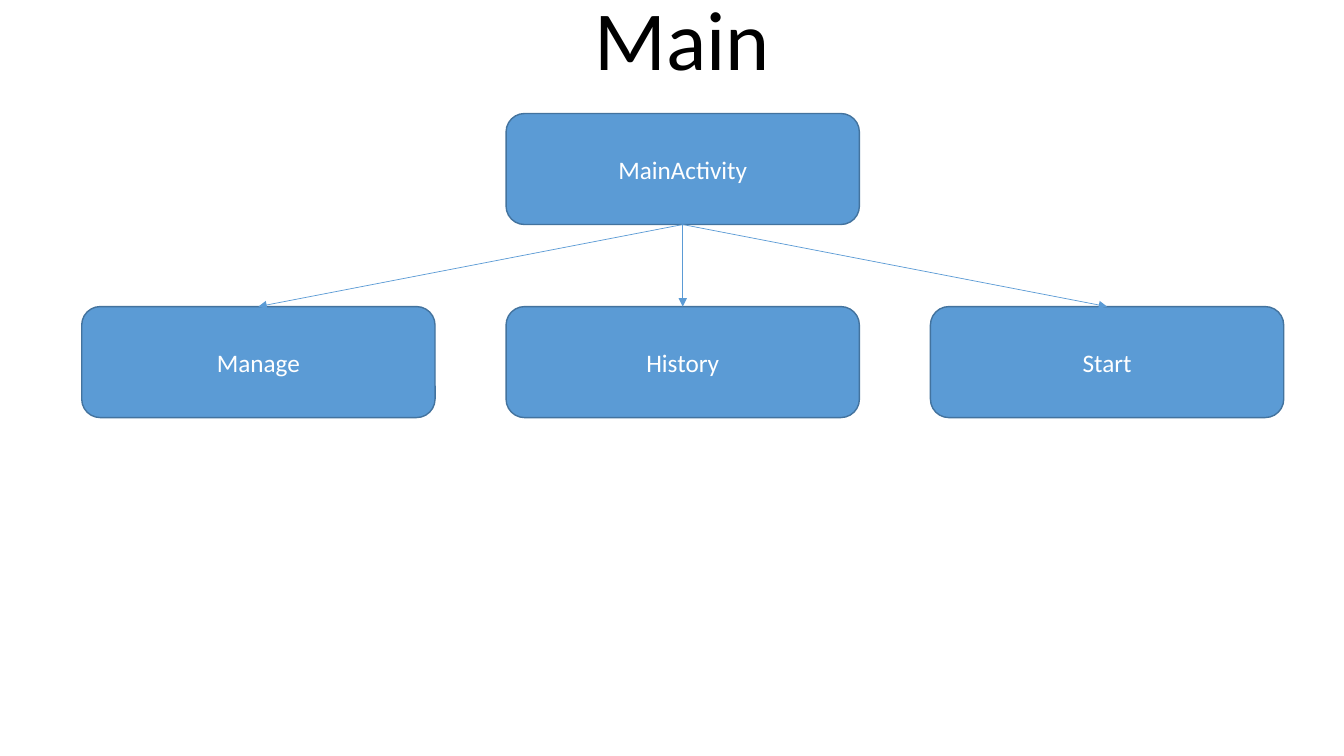
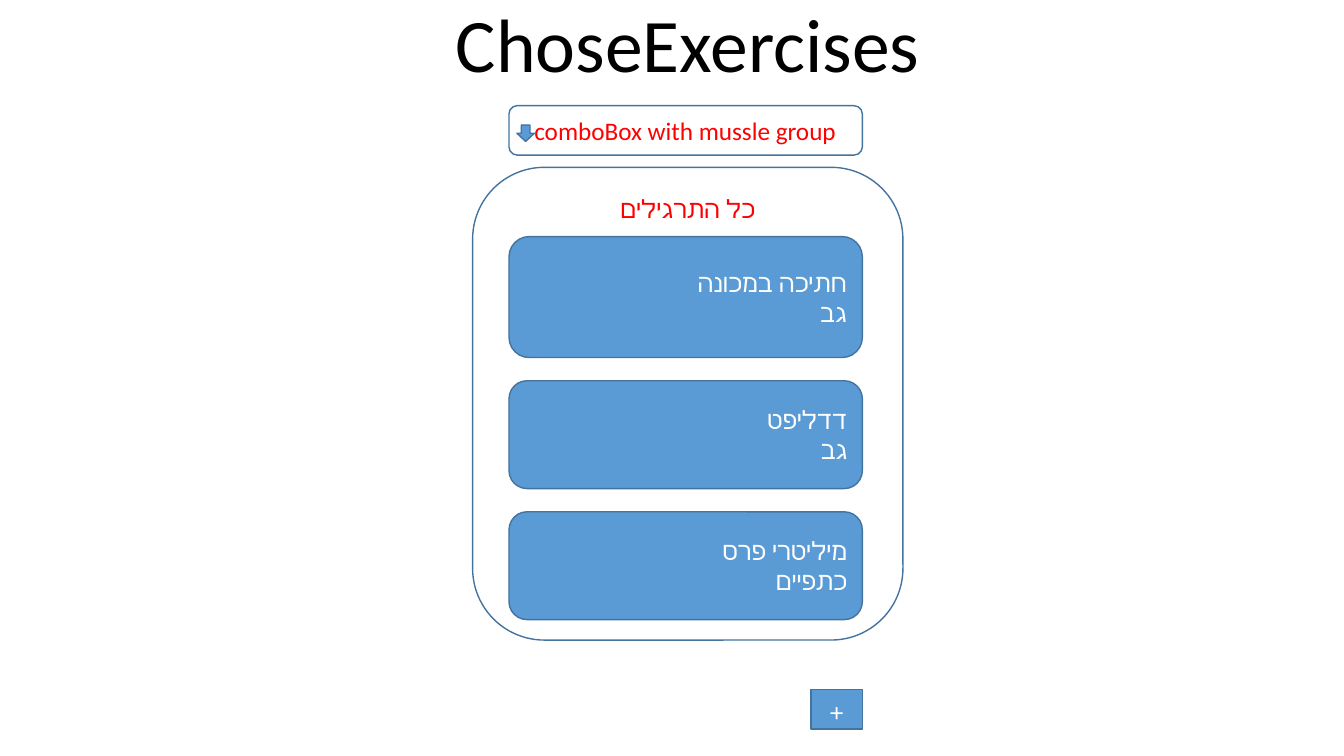
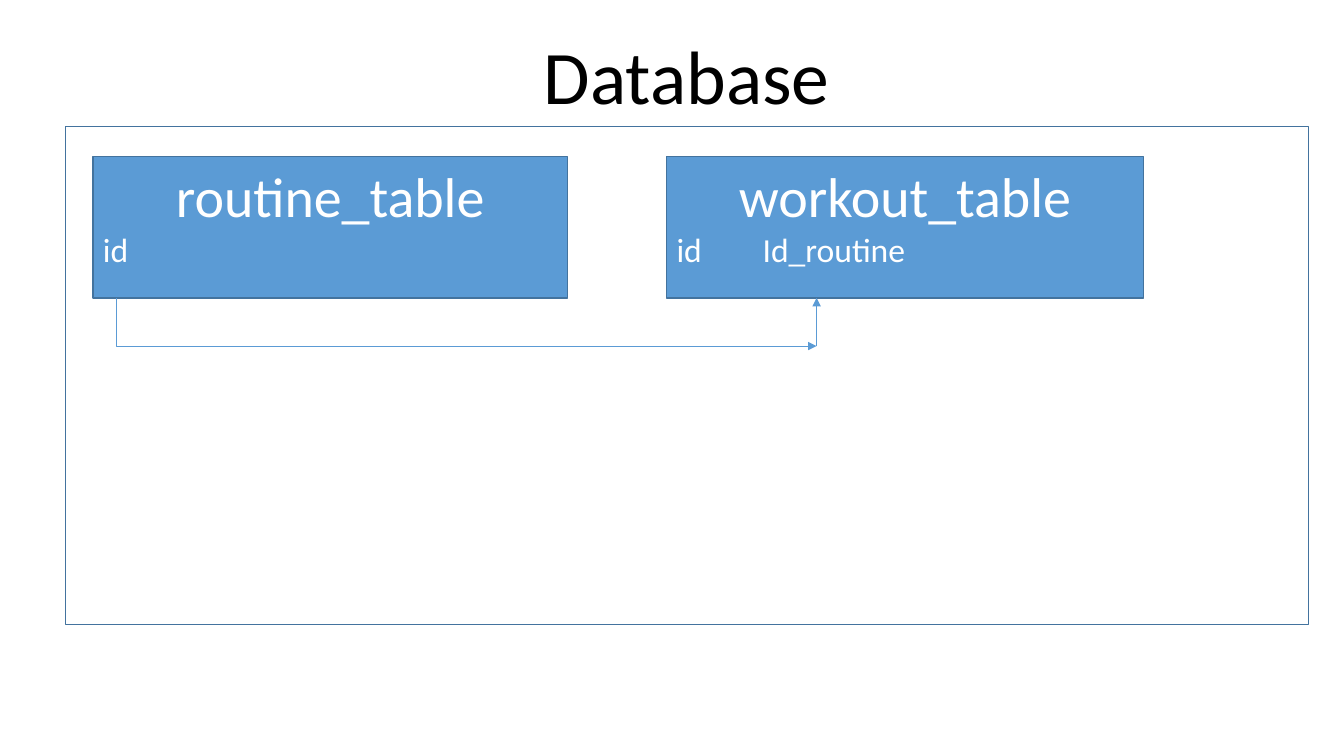
from lxml.etree import SubElement
from pptx import Presentation
from pptx.dml.color import RGBColor
from pptx.enum.shapes import MSO_CONNECTOR, MSO_SHAPE
from pptx.enum.text import MSO_ANCHOR, PP_ALIGN
from pptx.oxml.ns import qn
from pptx.util import Pt

COLORS = {
    "black": "000000",
    "white": "FFFFFF",
    "blue": "5B9BD5",
    "outline": "43739E",
    "red": "FF0000",
}
FONT = "Calibri"


def color(name):
    return RGBColor.from_string(COLORS[name])


def apply_format(target, values):
    for name, value in values.items():
        setattr(target, name, value)


def write_line(paragraph, text, size=18, ink="white", align=PP_ALIGN.CENTER,
               rtl=False, tab=None, spacing=None):
    properties = paragraph._p.get_or_add_pPr()
    if rtl:
        properties.set("rtl", "1")
    apply_format(paragraph, {"alignment": align, "line_spacing": spacing})
    if tab:
        tabs = SubElement(properties, qn("a:tabLst"))
        SubElement(tabs, qn("a:tab"), pos=str(Pt(tab)), algn="l")
    run = paragraph.add_run()
    run.text = text
    apply_format(run.font, {"name": FONT, "size": Pt(size)})
    run.font.color.rgb = color(ink)


def fill_frame(shape, lines, **frame_format):
    frame = shape.text_frame
    apply_format(frame, {"word_wrap": True, **frame_format})
    for index, line in enumerate(lines):
        paragraph = frame.add_paragraph() if index else frame.paragraphs[0]
        write_line(paragraph, **line)


def add_title(slide, text, left, top, width, size=54):
    shape = slide.shapes.add_textbox(Pt(left), Pt(top), Pt(width), Pt(67))
    line = {"text": text, "size": size, "ink": "black", "spacing": 0.9}
    fill_frame(shape, [line], vertical_anchor=MSO_ANCHOR.BOTTOM)


def add_box(slide, kind, left, top, width, height, lines=(), fill="blue",
            anchor=MSO_ANCHOR.MIDDLE, **frame_format):
    shape = slide.shapes.add_shape(kind, Pt(left), Pt(top), Pt(width), Pt(height))
    shape.shadow.inherit = False
    if fill:
        shape.fill.solid()
        shape.fill.fore_color.rgb = color(fill)
    else:
        shape.fill.background()
    shape.line.color.rgb = color("outline")
    shape.line.width = Pt(1)
    fill_frame(shape, lines, vertical_anchor=anchor, **frame_format)
    return shape


def add_arrow(slide, start=(0, 0), end=(0, 0), kind=MSO_CONNECTOR.STRAIGHT):
    points = [Pt(value) for value in (*start, *end)]
    connector = slide.shapes.add_connector(kind, *points)
    connector.line.color.rgb = color("blue")
    connector.line.width = Pt(0.5)
    SubElement(connector.line._get_or_add_ln(), qn("a:tailEnd"), type="triangle")
    properties = connector._element.spPr
    SubElement(properties, qn("a:effectLst"))
    if kind == MSO_CONNECTOR.ELBOW:
        guides = properties.find(qn("a:prstGeom")).get_or_add_avLst()
        SubElement(guides, qn("a:gd"), name="adj1", fmla="val 0")
    return connector


def build_main_screen(slide):
    add_title(slide, "Main", 127.5, 0, 720, size=60)
    left, step, width, height = 58.4, 303.1, 252.4, 79.3

    def add_node(text, column, top):
        return add_box(slide, MSO_SHAPE.ROUNDED_RECTANGLE, left + column * step,
                       top, width, height, [{"text": text, "rtl": True}])

    activity = add_node("MainActivity", 1, 81.1)
    for column, text in enumerate(("Manage", "History", "Start")):
        screen = add_node(text, column, 219)
        arrow = add_arrow(slide)
        arrow.begin_connect(activity, 2)
        arrow.end_connect(screen, 0)


def build_exercise_screen(slide):
    rounded = MSO_SHAPE.ROUNDED_RECTANGLE
    left, width, gap = 363.6, 252.4, 16.6
    add_title(slide, "ChoseExercises", 308, 0, 366.5)
    add_box(slide, rounded, left, 75.5, width, 35.3,
            [{"text": "comboBox with mussle group", "ink": "red",
              "align": PP_ALIGN.RIGHT}], fill="white", margin_right=Pt(17))

    top = 169
    exercises = (
        ("חתיכה במכונה", "גב", 86.4),
        ("דדליפט", "גב", 77),
        ("מיליטרי פרס", "כתפיים", 77),
    )
    for name, muscle, height in exercises:
        lines = [{"text": text, "align": PP_ALIGN.RIGHT, "rtl": True}
                 for text in (name, muscle)]
        add_box(slide, rounded, left, top, width, height, lines)
        top += height + gap

    add_box(slide, MSO_SHAPE.RECTANGLE, 579.3, 492.5, 36.7, 28.3,
            [{"text": "+", "rtl": True}])
    add_box(slide, MSO_SHAPE.DOWN_ARROW, 369.2, 89.3, 12.5, 11.8)
    add_box(slide, rounded, 337.6, 119.5, 307.4, 337.7,
            [{"text": "כל התרגילים", "ink": "red", "rtl": True}],
            fill=None, anchor=MSO_ANCHOR.TOP)


def build_database(slide):
    add_title(slide, "Database", 345, 23, 291)
    tables = (
        ("routine_table", "id", 66.4, 339),
        ("workout_table", "id\tId_routine", 476.2, 340.6),
    )
    for name, fields, left, width in tables:
        lines = [
            {"text": name, "size": 40},
            {"text": fields, "size": 24, "align": PP_ALIGN.LEFT, "tab": 61.5},
        ]
        add_box(slide, MSO_SHAPE.RECTANGLE, left, 112, width, 100.8, lines,
                anchor=MSO_ANCHOR.TOP)
    add_box(slide, MSO_SHAPE.RECTANGLE, 46.8, 90.2, 887.8, 356, fill=None)
    corner = (583.3, 247.2)
    add_arrow(slide, (83.2, 212.8), corner, MSO_CONNECTOR.ELBOW)
    add_arrow(slide, corner, (583.3, 212.8))


def main():
    presentation = Presentation()
    presentation.slide_width = Pt(960)
    presentation.slide_height = Pt(540)
    for build in (build_main_screen, build_exercise_screen, build_database):
        build(presentation.slides.add_slide(presentation.slide_layouts[6]))
    presentation.save("out.pptx")


if __name__ == "__main__":
    main()
